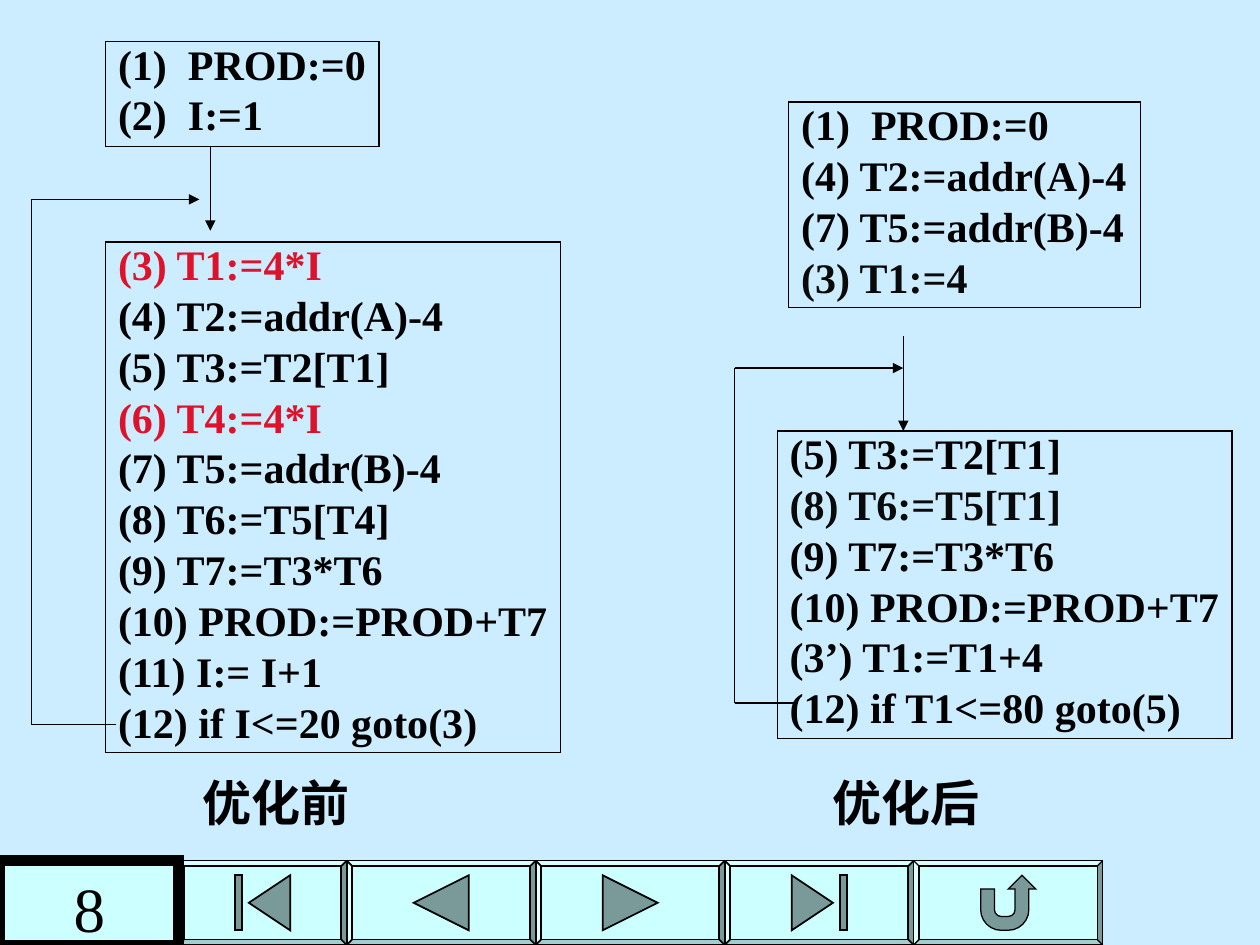
from lxml.etree import SubElement
from pptx import Presentation
from pptx.dml.color import RGBColor
from pptx.enum.shapes import MSO_CONNECTOR, MSO_SHAPE
from pptx.enum.text import MSO_ANCHOR, MSO_AUTO_SIZE, PP_ALIGN
from pptx.oxml.ns import qn
from pptx.util import Cm, Pt

COLORS = {
    "background": "CCECFF",
    "button": "CCFFFF",
    "ink": "000000",
    "soft": "0A0A0A",
    "redundant": "DD132B",
}
FONT = "Times New Roman"


def color(name):
    return RGBColor.from_string(COLORS[name])


def format_text(paragraph, size, bold=True, ink="ink"):
    for run in paragraph.runs:
        run.font.name = FONT
        run.font.size = Pt(size)
        run.font.bold = bold
        run.font.color.rgb = color(ink)


def add_panel(slide, kind, left, top, width, height, fill=None, border=0.75):
    panel = slide.shapes.add_shape(kind, Cm(left), Cm(top), Cm(width), Cm(height))
    panel.shadow.inherit = False
    if fill:
        panel.fill.solid()
        panel.fill.fore_color.rgb = color(fill)
    else:
        panel.fill.background()
    panel.line.color.rgb = color("ink")
    panel.line.width = Pt(border)
    SubElement(panel.line._get_or_add_ln(), qn("a:miter"), lim="800000")
    return panel


def add_code_block(slide, left, top, width, height, statements, inks):
    block = add_panel(slide, MSO_SHAPE.RECTANGLE, left, top, width, height)
    frame = block.text_frame
    frame.word_wrap = False
    frame.auto_size = MSO_AUTO_SIZE.SHAPE_TO_FIT_TEXT
    frame.vertical_anchor = MSO_ANCHOR.TOP
    frame.text = "\n".join(statements)
    for number, paragraph in enumerate(frame.paragraphs):
        paragraph.alignment = PP_ALIGN.LEFT
        paragraph.line_spacing = 0.8
        paragraph.space_before = Pt(6 if number else 0)
        format_text(paragraph, 24, ink=inks.get(number, "ink"))


def add_line(shapes, start, end, arrow=False):
    line = shapes.add_connector(
        MSO_CONNECTOR.STRAIGHT, *(Cm(value) for value in start + end))
    line.line.color.rgb = color("ink")
    line.line.width = Pt(0.75)
    if arrow:
        SubElement(line.line._get_or_add_ln(), qn("a:tailEnd"), type="triangle")
    SubElement(line._element.spPr, qn("a:effectLst"))


def add_loop(shapes, start, side, end):
    corners = [start, (side, start[1]), (side, end[1]), end]
    for origin, target in zip(corners, corners[1:]):
        add_line(shapes, origin, target, arrow=target == end)


def add_captions(slide, before, after):
    captions = slide.shapes.add_textbox(Cm(3.84), Cm(15.45), Cm(16.18), Cm(1.45))
    frame = captions.text_frame
    frame.word_wrap = False
    frame.text = f"{before}\t{after}"
    paragraph = frame.paragraphs[0]
    tabs = SubElement(paragraph._p.get_or_add_pPr(), qn("a:tabLst"))
    SubElement(tabs, qn("a:tab"), pos=str(Cm(12.7)), algn="l")
    format_text(paragraph, 28)


def add_button(slide, kind, left, width, border=1):
    top, height, edge = 17.35, 1.7, 0.11
    rim = add_panel(slide, MSO_SHAPE.BEVEL, left, top, width, height,
                    "button", border)
    rim.adjustments[0] = edge / height
    add_panel(slide, kind, left + edge, top + edge,
              width - 2 * edge, height - 2 * edge, "button", border)


def add_navigation(slide):
    first_left, step = 6.99, 3.81
    buttons = [
        (MSO_SHAPE.ACTION_BUTTON_BACK_OR_PREVIOUS, 1),
        (MSO_SHAPE.ACTION_BUTTON_FORWARD_OR_NEXT, 1),
        (MSO_SHAPE.ACTION_BUTTON_END, 1),
        (MSO_SHAPE.ACTION_BUTTON_RETURN, 0.75),
    ]
    add_button(slide, MSO_SHAPE.ACTION_BUTTON_BEGINNING, 3.6, 3.39)
    for index, (kind, border) in enumerate(buttons):
        add_button(slide, kind, first_left + index * step, step, border)


def add_page_number(slide, number):
    badge = add_panel(slide, MSO_SHAPE.RECTANGLE, 0, 17.35, 3.6, 1.7, "button", 6)
    frame = badge.text_frame
    frame.margin_bottom = 0
    frame.vertical_anchor = MSO_ANCHOR.BOTTOM
    frame.text = number
    frame.paragraphs[0].alignment = PP_ALIGN.CENTER
    format_text(frame.paragraphs[0], 36, bold=False)


def main():
    deck = Presentation()
    deck.slide_width, deck.slide_height = Cm(25.4), Cm(19.05)
    slide = deck.slides.add_slide(deck.slide_layouts[6])
    slide.background.fill.solid()
    slide.background.fill.fore_color.rgb = color("background")

    add_navigation(slide)

    add_code_block(slide, 15.9, 2.06, 7.09, 4.14, [
        "(1)  PROD:=0",
        "(4) T2:=addr(A)-4",
        "(7) T5:=addr(B)-4",
        "(3) T1:=4",
    ], {3: "soft"})
    add_code_block(slide, 15.67, 8.69, 9.17, 6.2, [
        "(5) T3:=T2[T1]",
        "(8) T6:=T5[T1]",
        "(9) T7:=T3*T6",
        "(10) PROD:=PROD+T7",
        "(3’) T1:=T1+4",
        "(12) if T1<=80 goto(5)",
    ], {1: "soft"})
    add_line(slide.shapes, (18.21, 6.78), (18.21, 8.69), arrow=True)
    optimized_loop = slide.shapes.add_group_shape()
    add_loop(optimized_loop.shapes, (16.08, 14.17), 14.81, (18.21, 7.42))

    add_code_block(slide, 2.13, 0.84, 5.51, 2.11, [
        "(1)  PROD:=0",
        "(2)  I:=1",
    ], {})
    add_code_block(slide, 2.13, 4.88, 9.17, 10.29, [
        "(3) T1:=4*I",
        "(4) T2:=addr(A)-4",
        "(5) T3:=T2[T1]",
        "(6) T4:=4*I",
        "(7) T5:=addr(B)-4",
        "(8) T6:=T5[T4]",
        "(9) T7:=T3*T6",
        "(10) PROD:=PROD+T7",
        "(11) I:= I+1",
        "(12) if I<=20 goto(3)",
    ], {0: "redundant", 3: "redundant"})
    add_line(slide.shapes, (4.24, 2.97), (4.24, 4.65), arrow=True)
    add_loop(slide.shapes, (2.34, 14.61), 0.64, (4.02, 4.02))

    add_captions(slide, "优化前", "优化后")
    add_page_number(slide, "8")
    deck.save("out.pptx")


if __name__ == "__main__":
    main()
